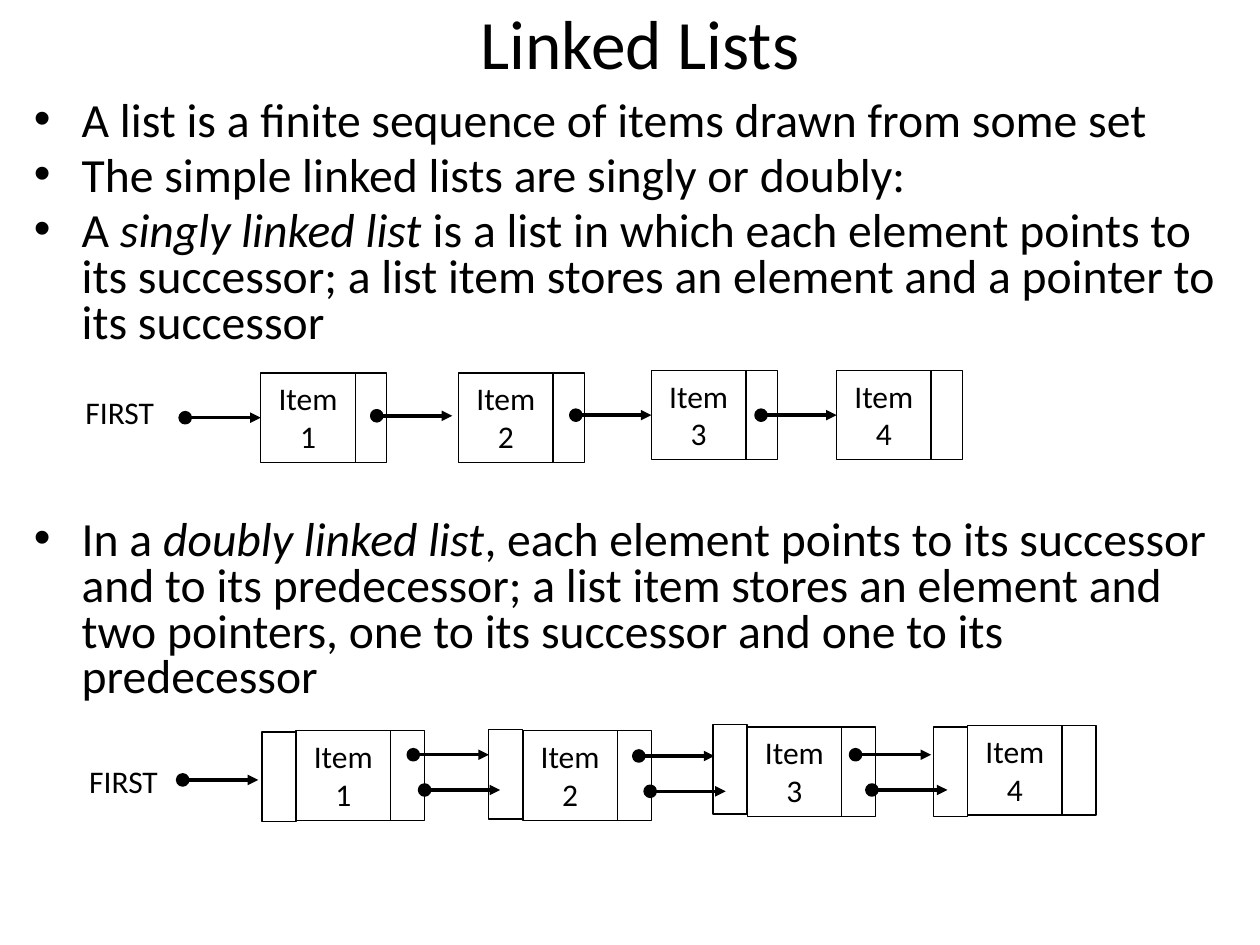
from dataclasses import dataclass

from lxml.etree import SubElement
from pptx import Presentation
from pptx.dml.color import RGBColor
from pptx.enum.shapes import MSO_CONNECTOR as Connector
from pptx.enum.shapes import MSO_SHAPE as Shape
from pptx.enum.text import MSO_ANCHOR as Anchor
from pptx.enum.text import PP_ALIGN as Align
from pptx.oxml.ns import qn
from pptx.util import Inches, Pt


@dataclass(frozen=True)
class Theme:
    font: str = "Calibri"
    ink: RGBColor = RGBColor(0, 0, 0)
    title: float = 39.6
    body: float = 27.2
    label: float = 18
    outline: float = 0.75
    arrow: float = 2


THEME = Theme()
LEFT_SIDE = 1
NODE_HEIGHT = 0.71
DATA_WIDTH = 0.75
ARROW_LENGTH = 0.6
DOT = 0.08


# Text
def write(para, text, size, italic=False, align=None):
    span = para.add_run()
    span.text = text
    span.font.name = THEME.font
    span.font.size = Pt(size)
    span.font.italic = italic
    span.font.color.rgb = THEME.ink
    if align is not None:
        para.alignment = align


def add_text_box(shapes, left, top, width, height):
    box = shapes.add_textbox(*map(Inches, (left, top, width, height)))
    box.text_frame.word_wrap = True
    return box.text_frame


def add_title(slide, left, top, width, height, text):
    frame = add_text_box(slide.shapes, left, top, width, height)
    frame.vertical_anchor = Anchor.MIDDLE
    write(frame.paragraphs[0], text, size=THEME.title, align=Align.CENTER)


def add_bullets(slide, left, top, width, height, bullets):
    """Each bullet is a list of pieces; every second piece is italic."""
    frame = add_text_box(slide.shapes, left, top, width, height)
    for index, pieces in enumerate(bullets):
        para = frame.add_paragraph() if index else frame.paragraphs[0]
        para.line_spacing = 0.8
        para.space_before = Pt(5.4 if index else 0)
        properties = para._p.get_or_add_pPr()
        properties.set("marL", str(Inches(0.38)))
        properties.set("indent", str(Inches(-0.38)))
        SubElement(properties, qn("a:buFont"), typeface="Arial")
        SubElement(properties, qn("a:buChar"), char="•")
        for place, piece in enumerate(pieces):
            write(para, piece, size=THEME.body, italic=place % 2 == 1)


# Parts of a chain
def add_cell(shapes, left, top, width, text=None):
    cell = shapes.add_shape(Shape.RECTANGLE, *map(Inches, (left, top, width, NODE_HEIGHT)))
    cell.shadow.inherit = False
    cell.fill.background()
    cell.line.color.rgb = THEME.ink
    cell.line.width = Pt(THEME.outline)
    if text:
        frame = cell.text_frame
        frame.word_wrap = True
        frame.vertical_anchor = Anchor.TOP
        write(frame.paragraphs[0], text, size=THEME.label, align=Align.CENTER)
    return cell


def add_pointer(shapes, x, y, target=None):
    """A dot with an arrow to the right, joined to the target cell if given."""
    if target is not None:
        y = (target.top + target.height / 2) / Inches(1)
    dot = shapes.add_shape(Shape.OVAL, *map(Inches, (x - DOT / 2, y - DOT / 2, DOT, DOT)))
    dot.shadow.inherit = False
    dot.fill.solid()
    dot.fill.fore_color.rgb = THEME.ink
    arrow = shapes.add_connector(
        Connector.STRAIGHT, *map(Inches, (x, y, x + ARROW_LENGTH, y)))
    if target is not None:
        arrow.end_connect(target, LEFT_SIDE)
    for part in (dot, arrow):
        part.line.color.rgb = THEME.ink
        part.line.width = Pt(THEME.arrow)
    SubElement(arrow.line._get_or_add_ln(), qn("a:tailEnd"), type="triangle")
    SubElement(arrow._element.spPr, qn("a:effectLst"))


def add_first_label(shapes, left, top):
    frame = add_text_box(shapes, left, top, 0.83, 0.4)
    write(frame.paragraphs[0], "FIRST", size=THEME.label)


# Singly linked list: data cell and next cell
def add_singly_chain(slide, left, top):
    shapes = slide.shapes.add_group_shape().shapes
    add_first_label(shapes, left, top + 0.13)
    items = []
    for number, (x, y) in enumerate([(1.49, 0.02), (3.06, 0.02), (4.59, 0), (6.06, 0)], 1):
        items.append(add_cell(shapes, left + x, top + y, DATA_WIDTH, f"Item {number}"))
        add_cell(shapes, left + x + DATA_WIDTH, top + y, 0.25)
    # The second arrow stops short of its item
    targets = [items[0], None, items[2], items[3]]
    for x, target in zip((0.89, 2.41, 3.99, 5.46), targets):
        add_pointer(shapes, left + x, top + 0.36, target)


# Doubly linked list: previous cell, data cell and next cell
def add_doubly_chain(slide, left, top):
    shapes = slide.shapes.add_group_shape().shapes
    link_width = 0.27
    add_first_label(shapes, left, top + 0.25)
    # Data cell position and top of the previous cell
    nodes = [(1.74, 0.05, 0.06), (3.54, 0.05, 0.04), (5.32, 0.02, 0), (7.07, 0.01, 0.02)]
    for number, (x, y, previous_y) in enumerate(nodes, 1):
        add_cell(shapes, left + x, top + y, DATA_WIDTH, f"Item {number}")
        add_cell(shapes, left + x + DATA_WIDTH, top + y, link_width)
        add_cell(shapes, left + x - link_width, top + previous_y, link_width)
    add_pointer(shapes, left + 0.84, top + 0.44)
    # Upper and lower pointer between neighbours
    for upper_x, lower_x, y in [(2.67, 2.76, 0.24), (4.46, 4.55, 0.25), (6.18, 6.31, 0.24)]:
        add_pointer(shapes, left + upper_x, top + y)
        add_pointer(shapes, left + lower_x, top + y + 0.28)


def main():
    deck = Presentation()
    deck.slide_width, deck.slide_height = Inches(10), Inches(7.5)
    page = deck.slides.add_slide(deck.slide_layouts[6])
    add_title(page, 0.58, 0, 9, 0.67, "Linked Lists")
    add_bullets(page, 0.17, 0.75, 9.67, 2.19, [
        ["A list is a finite sequence of items drawn from some set"],
        ["The simple linked lists are singly or doubly:"],
        ["A ", "singly linked list ",
         "is a list in which each element points to its successor; "
         "a list item stores an element and a pointer to its successor"],
    ])
    add_singly_chain(page, 0.58, 2.94)
    add_bullets(page, 0.17, 4.08, 9.67, 1.67, [
        ["In a ", "doubly linked list",
         ", each element points to its successor and to its predecessor; "
         "a list item stores an element and two pointers, "
         "one to its successor and one to its predecessor"],
    ])
    add_doubly_chain(page, 0.61, 5.75)
    deck.save("out.pptx")


if __name__ == "__main__":
    main()
